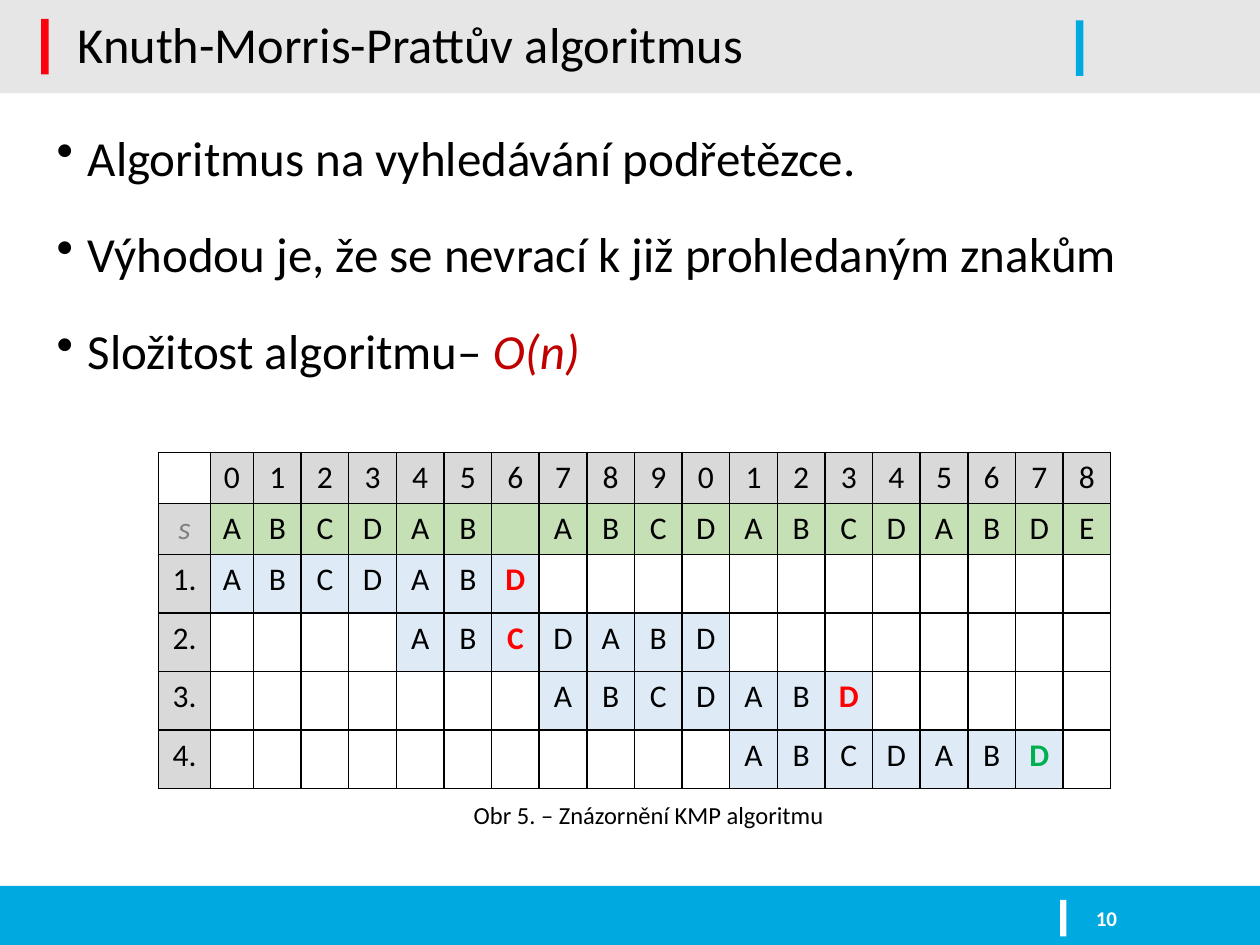
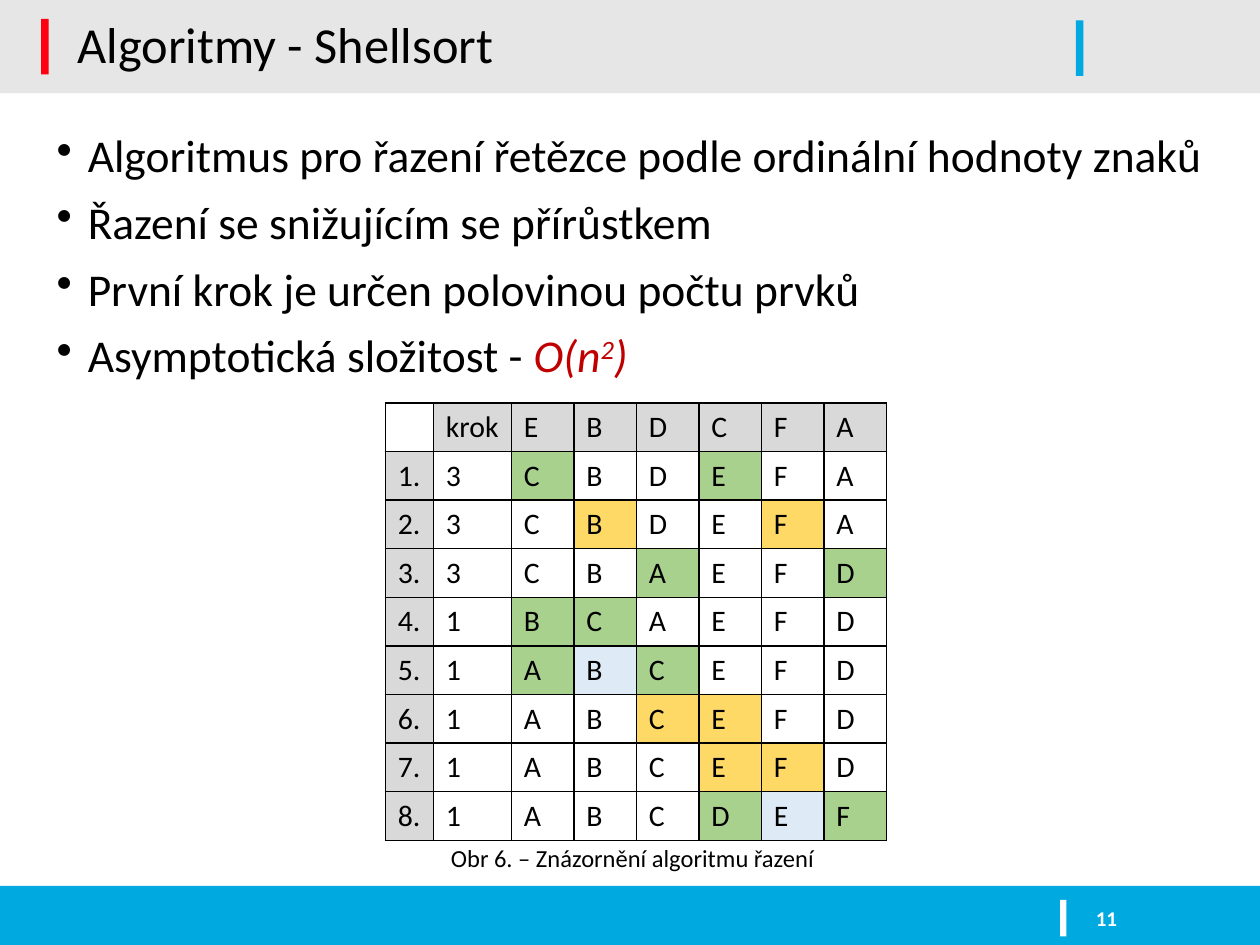
from lxml.etree import SubElement
from pptx import Presentation
from pptx.dml.color import RGBColor
from pptx.enum.shapes import MSO_SHAPE
from pptx.enum.text import MSO_ANCHOR, PP_ALIGN
from pptx.oxml.ns import qn
from pptx.util import Cm, Pt

COLORS = {
    "black": "000000", "white": "FFFFFF", "band": "E6E6E6", "blue": "00A9E0",
    "accent": "FE000F", "formula": "C00000", "header": "D9D9D9", "gray": "808080",
    "string": "C5E0B4", "pattern": "DEEBF7", "mismatch": "FF0000", "match": "00B050",
    "swapped": "A9D18E", "compared": "FFD966",
}
FONT = "Calibri"


def rgb(name):
    return RGBColor.from_string(COLORS[name])


def write(frame, paragraphs, size, color="black", bold=False, italic=False,
          align=PP_ALIGN.LEFT, anchor=MSO_ANCHOR.TOP, line=1.0,
          before=0, after=0, bullet=False):
    frame.word_wrap = True
    frame.vertical_anchor = anchor
    for number, spans in enumerate(paragraphs):
        para = frame.add_paragraph() if number else frame.paragraphs[0]
        para.alignment = align
        para.line_spacing = line
        para.space_before = Pt(before)
        para.space_after = Pt(after)
        if bullet:
            properties = para._p.get_or_add_pPr()
            properties.set("marL", str(Cm(0.63)))
            properties.set("indent", str(-Cm(0.63)))
            SubElement(properties, qn("a:buChar")).set("char", "•")
        for text, look in spans:
            span = para.add_run()
            span.text = text
            span.font.name = FONT
            span.font.size = Pt(size)
            span.font.bold = bold
            span.font.italic = look.get("italic", italic)
            span.font.color.rgb = rgb(look.get("color", color))
            if "baseline" in look:
                span._r.get_or_add_rPr().set("baseline", look["baseline"])


BARS = [
    (0, 0, 25.4, 1.88, "band"),
    (0, 17.86, 25.4, 1.19, "blue"),
    (0.83, 0.38, 0.15, 1.12, "accent"),
    (21.37, 18.14, 0.13, 0.74, "white"),
    (21.69, 0.41, 0.15, 1.12, "blue"),
]
CODES = {
    "h": ("header", "black"), "i": ("header", "gray"), "s": ("string", "black"),
    "p": ("pattern", "black"), "x": ("pattern", "mismatch"), "v": ("pattern", "match"),
    "g": ("swapped", "black"), "y": ("compared", "black"), ".": (None, "black"),
}
formula = {"color": "formula", "italic": True}
superscript = {**formula, "baseline": "30000"}

search_rows = [
    ([""] + list("0123456789012345678"), "." + "h" * 19),
    (["s"] + list("ABCDAB ABCDABCDABDE"), "i" + "s" * 19),
]
attempts = [(0, "ppppppx"), (4, "ppxpppp"), (7, "ppppppx"), (11, "ppppppv")]
for step, (offset, codes) in enumerate(attempts, 1):
    letters = "ABCDABD".rjust(offset + 7).ljust(19)
    search_rows.append(([f"{step}."] + list(letters),
                        "h" + codes.rjust(offset + 7, ".").ljust(19, ".")))

sort_rows = [(["", "krok"] + list("EBDCFA"), "." + "h" * 7)]
sort_steps = [
    ("3", "CBDEFA", "g..g.."), ("3", "CBDEFA", ".y..y."),
    ("3", "CBAEFD", "..g..g"), ("1", "BCAEFD", "gg...."),
    ("1", "ABCEFD", "gpg..."), ("1", "ABCEFD", "..yy.."),
    ("1", "ABCEFD", "...yy."), ("1", "ABCDEF", "...gpg"),
]
for step, (gap, letters, codes) in enumerate(sort_steps, 1):
    sort_rows.append(([f"{step}.", gap] + list(letters), "h." + codes))

SLIDES = [
    {
        "title": "Knuth-Morris-Prattův algoritmus", "page": "10",
        "bullets": [
            [("Algoritmus na vyhledávání podřetězce.", {})],
            [("Výhodou je, že se nevrací k již prohledaným znakům", {})],
            [("Složitost algoritmu– ", {}), ("O(n)", formula)],
        ],
        "size": 28, "after": 15,
        "rows": search_rows, "place": (3.2, 9.12),
        "widths": [1.04, 0.87] + [0.96] * 18, "heights": [1.03] * 2 + [1.18] * 4,
        "cell_size": 18, "cell_align": PP_ALIGN.CENTER, "cell_margin": 0,
        "caption": "Obr 5. – Znázornění KMP algoritmu", "caption_box": (9.3, 16, 7.7, 0.86),
    },
    {
        "title": "Algoritmy - Shellsort", "page": "11",
        "bullets": [
            [("Algoritmus pro řazení řetězce podle ordinální hodnoty znaků", {})],
            [("Řazení se snižujícím se přírůstkem", {})],
            [("První krok je určen polovinou počtu prvků", {})],
            [("Asymptotická složitost - ", {}), ("O(n", formula),
             ("2", superscript), (")", formula)],
        ],
        "size": 26, "after": 0,
        "rows": sort_rows, "place": (7.77, 8.12),
        "widths": [0.97, 1.57] + [1.26] * 6, "heights": [0.98] * 9,
        "cell_size": 17, "cell_align": PP_ALIGN.LEFT, "cell_margin": 0.25,
        "caption": "Obr 6. – Znázornění algoritmu řazení", "caption_box": (8.84, 16.87, 8, 0.86),
    },
]

deck = Presentation()
deck.slide_width = Cm(25.4)
deck.slide_height = Cm(19.05)

for content in SLIDES:
    slide = deck.slides.add_slide(deck.slide_layouts[6])
    for left, top, width, height, color in BARS:
        bar = slide.shapes.add_shape(MSO_SHAPE.RECTANGLE, Cm(left), Cm(top), Cm(width), Cm(height))
        bar.shadow.inherit = False
        bar.fill.solid()
        bar.fill.fore_color.rgb = rgb(color)
        bar.line.fill.background()

    texts = [
        ((1.32, 0.3, 20.04, 1.3), [[(content["title"], {})]],
         {"size": 28.8, "line": 0.9, "anchor": MSO_ANCHOR.MIDDLE}),
        ((0.89, 2.57, 23.8, 14.58), content["bullets"],
         {"size": content["size"], "line": 0.9, "before": 10,
          "after": content["after"], "bullet": True}),
        ((21.84, 18.14, 3.2, 0.74), [[(content["page"], {})]],
         {"size": 12, "color": "white", "bold": True, "anchor": MSO_ANCHOR.MIDDLE}),
        (content["caption_box"], [[(content["caption"], {})]], {"size": 14}),
    ]
    for place, paragraphs, look in texts:
        box = slide.shapes.add_textbox(*map(Cm, place))
        write(box.text_frame, paragraphs, **look)

    widths, heights = content["widths"], content["heights"]
    table = slide.shapes.add_table(len(heights), len(widths), *map(Cm, content["place"]),
                                   Cm(sum(widths)), Cm(sum(heights))).table
    table.first_row = False
    table.horz_banding = False
    for column, width in zip(table.columns, widths):
        column.width = Cm(width)
    for row, height, (labels, codes) in zip(table.rows, heights, content["rows"]):
        row.height = Cm(height)
        for cell, label, code in zip(row.cells, labels, codes):
            fill, ink = CODES[code]
            properties = cell._tc.get_or_add_tcPr()
            for side in ("a:lnL", "a:lnR", "a:lnT", "a:lnB"):
                border = SubElement(properties, qn(side))
                border.set("w", str(Pt(1)))
                paint = SubElement(border, qn("a:solidFill"))
                SubElement(paint, qn("a:srgbClr")).set("val", COLORS["black"])
            if fill:
                cell.fill.solid()
                cell.fill.fore_color.rgb = rgb(fill)
            else:
                cell.fill.background()
            cell.margin_left = Cm(content["cell_margin"])
            cell.margin_right = 0
            if label.strip():
                write(cell.text_frame, [[(label, {})]], size=content["cell_size"],
                      color=ink, bold=code in "xv", italic=code == "i",
                      align=content["cell_align"])
            else:
                cell.margin_top = cell.margin_bottom = 0

deck.save("out.pptx")
